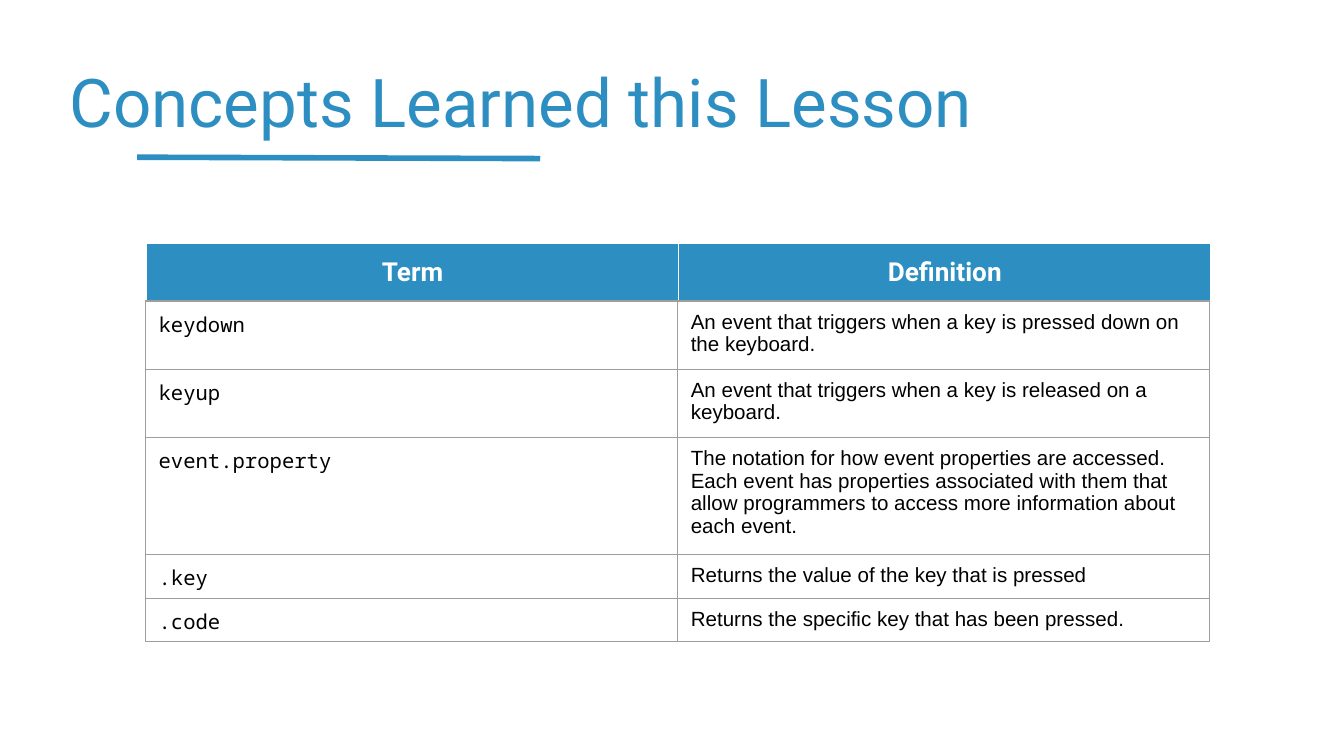
import dataclasses

import pptx
import pptx.dml.color
import pptx.enum.shapes
import pptx.enum.text
import pptx.oxml
import pptx.oxml.ns
import pptx.util

Inches = pptx.util.Inches
Pt = pptx.util.Pt
ALIGN = pptx.enum.text.PP_ALIGN


@dataclasses.dataclass(frozen=True)
class Theme:
    blue: str = "2D8EC2"
    white: str = "FFFFFF"
    black: str = "000000"
    grey: str = "9E9E9E"
    title: int = 36
    head: int = 14
    body: int = 11
    sans: str = "Roboto"
    mono: str = "Noto Sans Mono"
    plain: str = "Arial"


THEME = Theme()
WIDE = Inches(10)
COL = 3.96
FRAME = 3.28
HEADS = [("Term", "Definition")]
TERMS = [
    ("keydown", "An event that triggers when a key is pressed down on the keyboard."),
    ("keyup", "An event that triggers when a key is released on a keyboard."),
    ("event.property", "The notation for how event properties are accessed. "
     "Each event has properties associated with them that allow programmers "
     "to access more information about each event."),
    (".key", "Returns the value of the key that is pressed"),
    (".code", "Returns the specific key that has been pressed."),
]


def rgb(code):
    return pptx.dml.color.RGBColor.from_string(code)


def apply(target, values):
    for name, value in values.items():
        setattr(target, name, value)


def pad(side, end):
    return {"margin_left": Inches(side), "margin_right": Inches(side),
            "margin_top": Inches(end), "margin_bottom": Inches(end)}


def write(frame, text, font, size, color, bold=False, align=ALIGN.LEFT):
    para = frame.paragraphs[0]
    para.alignment = align
    run = para.add_run()
    run.text = text
    apply(run.font, {"name": font, "size": Pt(size), "bold": bold})
    run.font.color.rgb = rgb(color)


def add_title(slide, text):
    box = slide.shapes.add_textbox(Inches(0.42), Inches(0.35), Inches(6.97), Inches(0.78))
    apply(box.text_frame, {"word_wrap": False, **pad(0.1, 0.1)})
    write(box.text_frame, text, THEME.sans, THEME.title, THEME.blue)


def add_rule(slide):
    line = slide.shapes.add_connector(
        pptx.enum.shapes.MSO_CONNECTOR.STRAIGHT,
        Inches(1.02), Inches(1.17), Inches(4.02), Inches(1.18))
    line.line.width = Pt(3)
    line.line.color.rgb = rgb(THEME.blue)
    props = line._element.spPr
    props.append(props.makeelement(pptx.oxml.ns.qn("a:effectLst"), {}))


def set_edges(cell, color, low="solid"):
    """Draw all four cell borders; low is the dash of the bottom one."""
    props = cell._tc.get_or_add_tcPr()
    for side, dash in zip("LRTB", ("solid", "solid", "solid", low)):
        props.append(pptx.oxml.parse_xml(
            f'<a:ln{side} {pptx.oxml.ns.nsdecls("a")} w="{Pt(0.75)}">'
            f'<a:solidFill><a:srgbClr val="{color}"/></a:solidFill>'
            f'<a:prstDash val="{dash}"/></a:ln{side}>'))


def add_grid(slide, left, top, high, rows):
    """Add a two-column table whose rows grow to fit; return its rows of cells."""
    shape = slide.shapes.add_table(
        len(rows), 2, Inches(left), Inches(top), Inches(FRAME), Inches(FRAME))
    grid = shape.table
    apply(grid, {"first_row": False, "horz_banding": False})
    for col in grid.columns:
        col.width = Inches(COL)
    for row in grid.rows:
        row.height = Inches(high)
    apply(shape, {"width": Inches(FRAME), "height": Inches(FRAME)})
    return [list(row.cells) for row in grid.rows]


def add_heads(slide):
    for cells, texts in zip(add_grid(slide, 1.09, 1.81, 0.07, HEADS), HEADS):
        for cell, text in zip(cells, texts):
            apply(cell, pad(0.1, 0.1))
            set_edges(cell, THEME.white, "dot")
            cell.fill.solid()
            cell.fill.fore_color.rgb = rgb(THEME.blue)
            write(cell.text_frame, text, THEME.sans, THEME.head, THEME.white,
                  True, ALIGN.CENTER)


def add_terms(slide):
    fonts = (THEME.mono, THEME.plain)
    for cells, texts in zip(add_grid(slide, 1.08, 2.24, 0.31, TERMS), TERMS):
        for cell, text, font in zip(cells, texts, fonts):
            apply(cell, pad(0.1, 0.07))
            set_edges(cell, THEME.grey)
            cell.fill.background()
            write(cell.text_frame, text, font, THEME.body, THEME.black)


def main():
    deck = pptx.Presentation()
    apply(deck, {"slide_width": WIDE, "slide_height": WIDE * 9 // 16})
    slide = deck.slides.add_slide(deck.slide_layouts[6])
    add_title(slide, "Concepts Learned this Lesson")
    add_rule(slide)
    add_heads(slide)
    add_terms(slide)
    deck.save("out.pptx")


if __name__ == "__main__":
    main()
